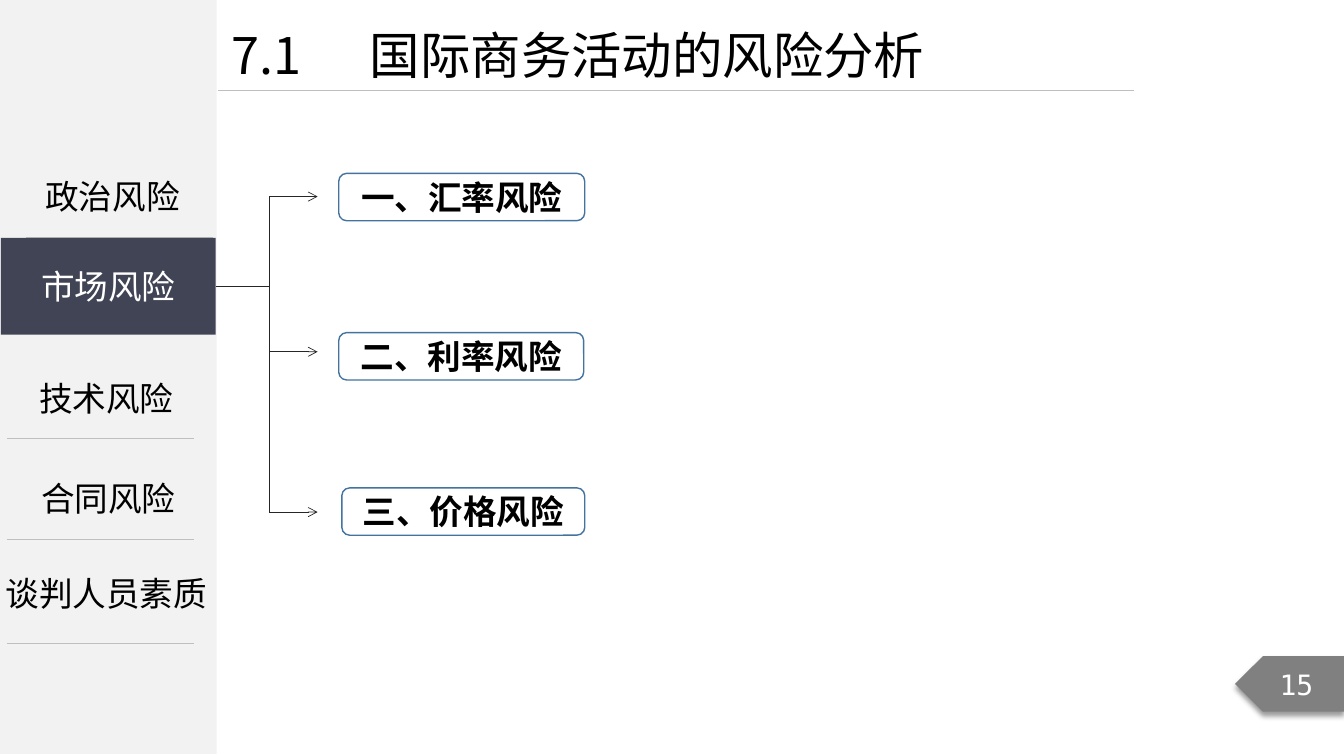
from pptx import Presentation
from pptx.dml.color import RGBColor
from pptx.enum import shapes, text
from pptx.oxml import parse_xml
from pptx.oxml.ns import nsdecls, qn
from pptx.util import Inches, Pt

COLORS = {
    "sidebar": "F2F2F2", "rule": "BFBFBF", "badge": "808080", "active": "414455",
    "branch": "262626", "outline": "43739E", "dark": "000000", "light": "FFFFFF",
}
SANS = "Noto Sans CJK SC"
MONO = "DejaVu Sans Mono"
CENTER = text.PP_ALIGN.CENTER
KIND = shapes.MSO_SHAPE

prs = Presentation()
prs.slide_width, prs.slide_height = Inches(13.33), Inches(7.5)
s = prs.slides.add_slide(prs.slide_layouts[6])


def add_box(box, kind=None, fill=None, line=None, words=None, size=24, color="dark",
            font=SANS, bold=False, align=CENTER, spacing=None, margin=0):
    """Add a shape, or a text box when no kind is given."""
    place = [Inches(v) for v in box]
    if kind is None:
        sp = s.shapes.add_textbox(*place)
    else:
        sp = s.shapes.add_shape(kind, *place)
        sp.shadow.inherit = False
        if fill:
            sp.fill.solid()
            sp.fill.fore_color.rgb = RGBColor.from_string(COLORS[fill])
        else:
            sp.fill.background()
        if line:
            sp.line.color.rgb = RGBColor.from_string(COLORS[line])
            sp.line.width = Pt(1)
        else:
            sp.line.fill.background()
    if words:
        tf = sp.text_frame
        tf.text = words
        tf.word_wrap = True
        tf.margin_left = tf.margin_right = Inches(margin)
        tf.vertical_anchor = text.MSO_ANCHOR.MIDDLE if kind else text.MSO_ANCHOR.TOP
        p = tf.paragraphs[0]
        p.alignment = align
        if spacing:
            p.line_spacing = spacing
        r = p.runs[0]
        r.font.size, r.font.bold, r.font.name = Pt(size), bold, font
        r.font.color.rgb = RGBColor.from_string(COLORS[color])
        r.font._element.append(parse_xml(f'<a:ea {nsdecls("a")} typeface="{font}"/>'))
    return sp


def add_line(x1, y1, x2, y2, color, arrow=False):
    """Add a thin straight line, with an open arrowhead at its end if wanted."""
    c = s.shapes.add_connector(shapes.MSO_CONNECTOR.STRAIGHT, *[Inches(v) for v in (x1, y1, x2, y2)])
    c.line.color.rgb = RGBColor.from_string(COLORS[color])
    c.line.width = Pt(0.5)
    if arrow:
        c.line._get_or_add_ln().append(parse_xml(f'<a:tailEnd {nsdecls("a")} type="arrow"/>'))
    c._element.spPr.append(parse_xml(f'<a:effectLst {nsdecls("a")}/>'))
    return c


# Sidebar and title
add_box((-0.01, -0.02, 2.16, 7.5), KIND.RECTANGLE, "sidebar")
add_line(2.16, 0.9, 11.25, 0.9, "rule")
title = add_box((2.2, 0.19, 9.67, 0.71), words="7.1\t国际商务活动的风险分析",
                size=36, align=text.PP_ALIGN.LEFT, margin=0.1)
pPr = title.text_frame.paragraphs[0]._p.get_or_add_pPr()
pPr.append(parse_xml(f'<a:tabLst {nsdecls("a")}><a:tab pos="{Inches(1.37)}" algn="l"/></a:tabLst>'))

# Page number badge, pointing left
badge = add_box((12.25, 6.51, 1.08, 0.55), KIND.PENTAGON, "badge",
                words="15", size=20, color="light", font=MONO)
badge._element.spPr.xfrm.set("flipH", "1")
badge._element.spPr.find(qn("a:effectLst")).append(parse_xml(
    f'<a:outerShdw {nsdecls("a")} blurRad="{Pt(4)}" dist="{Pt(3)}" dir="5400000" rotWithShape="0">'
    '<a:srgbClr val="000000"><a:alpha val="40000"/></a:srgbClr></a:outerShdw>'))

# Sidebar topics: label, box, line spacing, start and height of the rule below
topics = [
    ("政治风险", (0.2, 1.7, 1.83, 0.5), None, 0.26, 2.35),
    ("技术风险", (0.14, 3.5, 1.83, 0.64), 1.5, 0.07, 4.35),
    ("合同风险", (0.16, 4.49, 1.83, 0.71), 1.5, 0.07, 5.35),
    ("谈判人员素质", (-0.05, 5.63, 2.21, 0.5), None, 0.07, 6.38),
]
for label, box, spacing, rule_x, rule_y in topics:
    add_box(box, words=label, spacing=spacing)
    add_line(rule_x, rule_y, rule_x + 1.85, rule_y, "rule")
active = add_box((0.01, 2.36, 2.13, 0.96), KIND.RECTANGLE, "active", words="市场风险", color="light")

# Branch from the active topic to its risks
trunk_x = 2.67
stem = add_line(2.14, 2.84, trunk_x, 2.84, "branch")
stem.begin_connect(active, 3)
add_line(trunk_x, 1.95, trunk_x, 5.08, "branch")
risks = [
    ("一、汇率风险", 1.95, (3.36, 1.72, 2.44, 0.47)),
    ("二、利率风险", 3.49, (3.36, 3.3, 2.43, 0.47)),
    ("三、价格风险", 5.08, (3.39, 4.84, 2.41, 0.47)),
]
for label, arrow_y, box in risks:
    add_line(trunk_x, arrow_y, 3.15, arrow_y, "branch", arrow=True)
    sp = add_box(box, KIND.ROUNDED_RECTANGLE, line="outline", words=label, bold=True)
    sp.text_frame.paragraphs[0].runs[0].font._element.set("spc", "-10")

prs.save("out.pptx")
